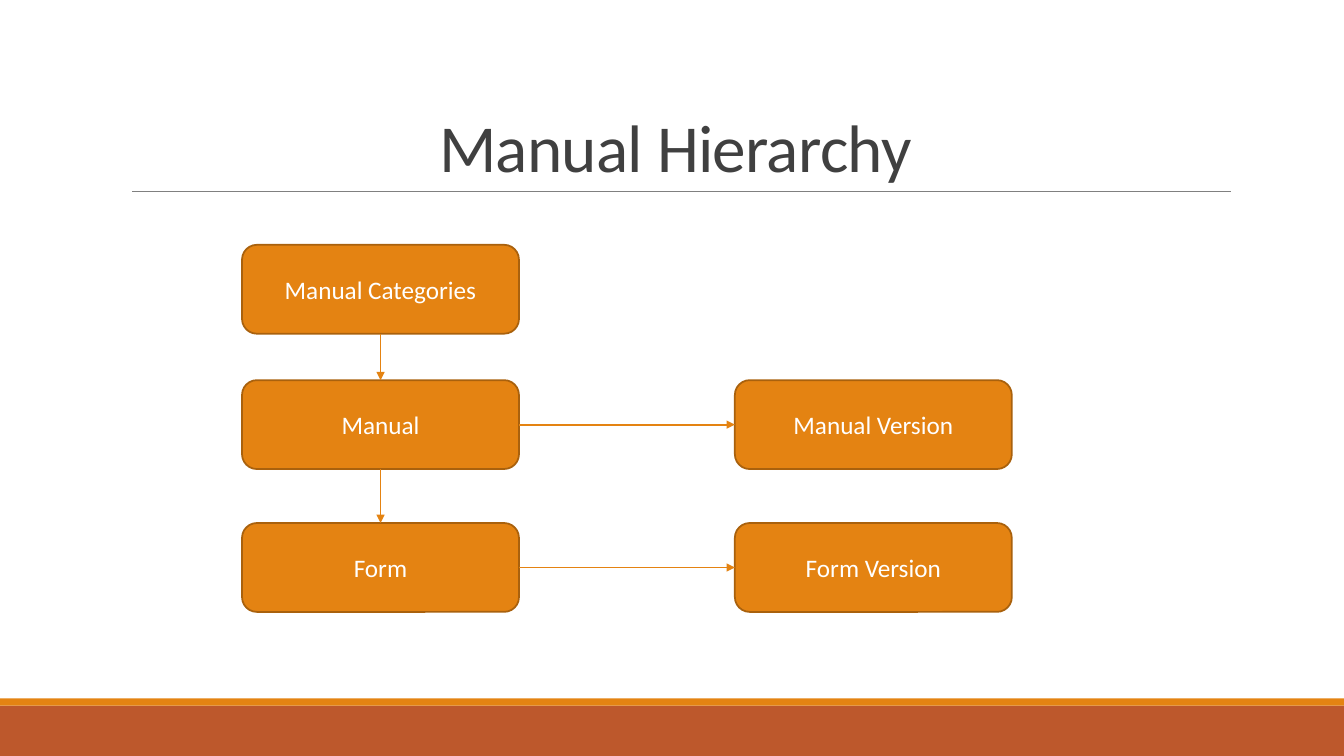
from dataclasses import dataclass

from lxml import etree
from pptx import Presentation
from pptx.dml.color import RGBColor
from pptx.enum import shapes, text
from pptx.oxml import ns
from pptx.util import Cm, Pt


@dataclass(frozen=True)
class Theme:
    font: str = "Calibri"
    title_size: float = 48
    box_size: float = 18
    thin_line: float = 0.5
    line: float = 1.25
    title: str = "404040"
    white: str = "FFFFFF"
    orange: str = "E48312"
    outline: str = "A9610D"
    rust: str = "BD582C"
    grey: str = "808080"


@dataclass(frozen=True)
class Band:
    top: float
    height: float
    color: str


@dataclass(frozen=True)
class Node:
    label: str
    column: int
    row: int


@dataclass(frozen=True)
class Link:
    start: str
    start_site: int
    end: str
    end_site: int


THEME = Theme()
SLIDE_WIDTH, SLIDE_HEIGHT = 33.87, 19.05
BOX_WIDTH, BOX_HEIGHT = 6.98, 2.24
COLUMN_LEFTS = (6.1, 18.52)
ROW_TOPS = (6.17, 9.58, 13.18)
TOP, LEFT, BOTTOM, RIGHT = range(4)

BANDS = (Band(17.78, 1.27, THEME.rust), Band(17.6, 0.18, THEME.orange))
NODES = (
    Node("Manual Categories", 0, 0),
    Node("Manual", 0, 1),
    Node("Form", 0, 2),
    Node("Manual Version", 1, 1),
    Node("Form Version", 1, 2),
)
LINKS = (
    Link("Manual Categories", BOTTOM, "Manual", TOP),
    Link("Manual", BOTTOM, "Form", TOP),
    Link("Manual", RIGHT, "Manual Version", LEFT),
    Link("Form", RIGHT, "Form Version", LEFT),
)


def apply(target, values: dict) -> None:
    for name, value in values.items():
        setattr(target, name, value)


def write_text(shape, label: str, size: float, color: str, anchor) -> None:
    frame = shape.text_frame
    frame.text = label
    apply(frame, {"word_wrap": True, "vertical_anchor": anchor,
                  "auto_size": text.MSO_AUTO_SIZE.NONE})
    paragraph = frame.paragraphs[0]
    paragraph.alignment = text.PP_ALIGN.CENTER
    font = paragraph.runs[0].font
    apply(font, {"name": THEME.font, "size": Pt(size), "bold": False})
    font.color.rgb = RGBColor.from_string(color)


def add_block(slide, kind, left: float, top: float, width: float, height: float, color: str):
    shape = slide.shapes.add_shape(kind, Cm(left), Cm(top), Cm(width), Cm(height))
    shape.shadow.inherit = False
    shape.fill.solid()
    shape.fill.fore_color.rgb = RGBColor.from_string(color)
    shape.line.fill.background()
    return shape


def add_node(slide, node: Node):
    box = add_block(slide, shapes.MSO_SHAPE.ROUNDED_RECTANGLE, COLUMN_LEFTS[node.column],
                    ROW_TOPS[node.row], BOX_WIDTH, BOX_HEIGHT, THEME.orange)
    box.line.color.rgb = RGBColor.from_string(THEME.outline)
    box.line.width = Pt(THEME.line)
    write_text(box, node.label, THEME.box_size, THEME.white, text.MSO_ANCHOR.MIDDLE)
    return box


def add_line(slide, color: str, width: float, start=(0, 0), end=(0, 0)):
    line = slide.shapes.add_connector(shapes.MSO_CONNECTOR.STRAIGHT,
                                      *(Cm(value) for value in (*start, *end)))
    line.line.color.rgb = RGBColor.from_string(color)
    line.line.width = Pt(width)
    etree.SubElement(line._element.spPr, ns.qn("a:effectLst"))
    return line


def add_link(slide, link: Link, boxes: dict) -> None:
    arrow = add_line(slide, THEME.orange, THEME.line)
    arrow.begin_connect(boxes[link.start], link.start_site)
    arrow.end_connect(boxes[link.end], link.end_site)
    outline = arrow.line._get_or_add_ln()
    etree.SubElement(outline, ns.qn("a:tailEnd"), type="triangle")


def set_title(slide) -> None:
    title = slide.shapes.title
    apply(title, {"left": Cm(3.05), "top": Cm(0.79), "width": Cm(27.94), "height": Cm(4.04)})
    write_text(title, "Manual Hierarchy", THEME.title_size, THEME.title, text.MSO_ANCHOR.BOTTOM)
    paragraph = title.text_frame.paragraphs[0]
    paragraph.line_spacing = 0.85
    paragraph.runs[0].font._element.set("spc", "-50")


def main() -> None:
    presentation = Presentation()
    apply(presentation, {"slide_width": Cm(SLIDE_WIDTH), "slide_height": Cm(SLIDE_HEIGHT)})
    slide = presentation.slides.add_slide(presentation.slide_layouts.get_by_name("Title Only"))

    # Footer bands and title rule
    for band in BANDS:
        add_block(slide, shapes.MSO_SHAPE.RECTANGLE, 0, band.top, SLIDE_WIDTH,
                  band.height, band.color)
    add_line(slide, THEME.grey, THEME.thin_line, (3.33, 4.83), (31.01, 4.83))

    # Title
    set_title(slide)

    # Hierarchy boxes and arrows
    boxes = {node.label: add_node(slide, node) for node in NODES}
    for link in LINKS:
        add_link(slide, link, boxes)

    presentation.save("out.pptx")


if __name__ == "__main__":
    main()
